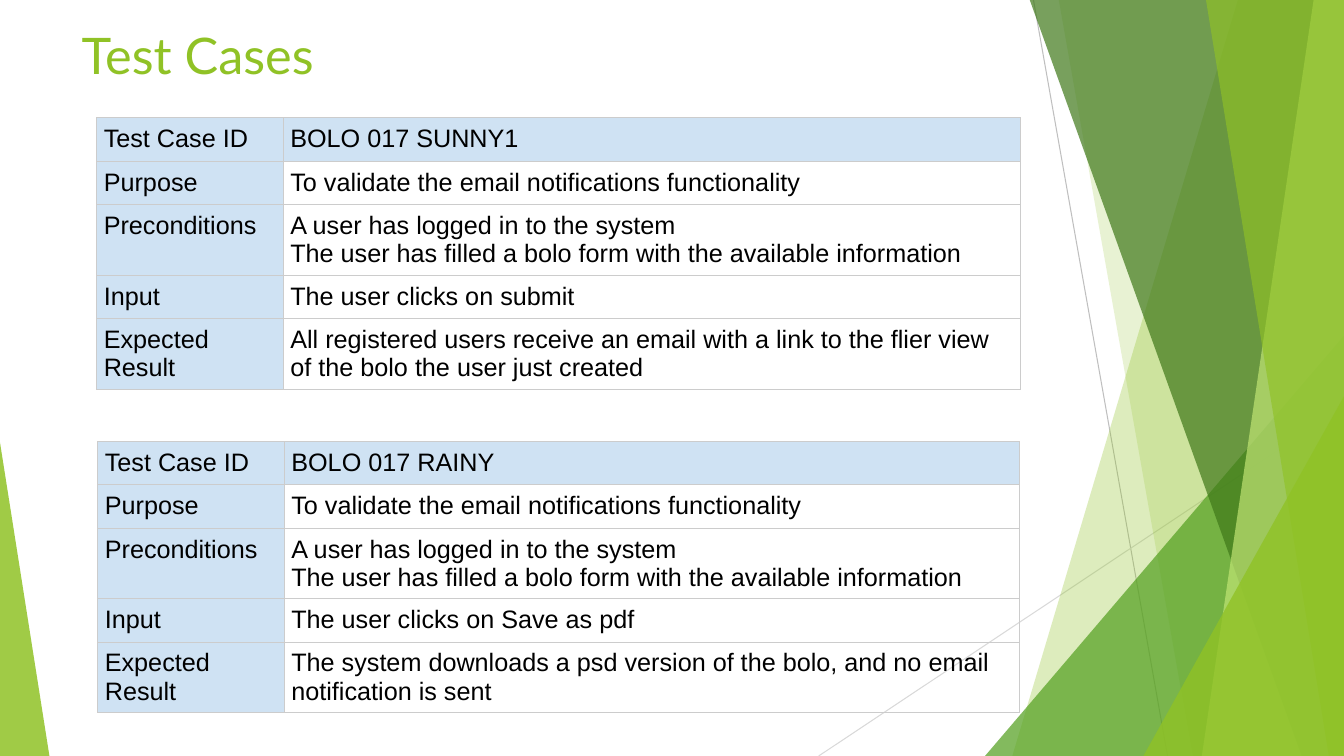
from lxml import etree
from pptx import Presentation
from pptx.dml.color import RGBColor
from pptx.enum.shapes import MSO_CONNECTOR, MSO_SHAPE
from pptx.enum.text import MSO_ANCHOR, PP_ALIGN
from pptx.oxml import parse_xml
from pptx.oxml.ns import nsdecls, qn
from pptx.util import Inches, Pt

LIME = RGBColor(0x90, 0xC2, 0x26)
GREEN = RGBColor(0x54, 0xA0, 0x21)
FOREST = RGBColor(0x3F, 0x78, 0x19)
PALE_LIME = RGBColor(0xC0, 0xE4, 0x74)
PALE_BLUE = RGBColor(0xCF, 0xE2, 0xF3)
BORDER = RGBColor(0xCC, 0xCC, 0xCC)
GRAY = RGBColor(0xBF, 0xBF, 0xBF)
LIGHT_GRAY = RGBColor(0xD9, 0xD9, 0xD9)
BLACK = RGBColor(0, 0, 0)

WIDTH, HEIGHT, TOP = 13.33, 7.5, -0.01
LABELS = ["Test Case ID", "Purpose", "Preconditions", "Input", "Expected Result"]
PURPOSE = "To validate the email notifications functionality"
PRECONDITIONS = ("A user has logged in to the system\n"
                 "The user has filled a bolo form with the available information")
ROW_HEIGHTS = [0.43, 0.43, 0.7, 0.43, 0.7]


def apply(obj, formats):
    for name, value in formats.items():
        setattr(obj, name, value)


class SlideBuilder:
    title_font = {"name": "Lato", "size": Pt(36), "bold": False}
    cell_font = {"name": "Arial", "size": Pt(18), "bold": False}
    cell_format = {"vertical_anchor": MSO_ANCHOR.TOP,
                   **{f"margin_{side}": Inches(0.07)
                      for side in ("left", "right", "top", "bottom")}}

    def __init__(self, prs):
        self.s = prs.slides.add_slide(prs.slide_layouts[5])
        self.shapes = self.s.shapes

    def title(self, text, left, top, width, height):
        sp = self.shapes.title
        apply(sp, {"left": Inches(left), "top": Inches(top),
                   "width": Inches(width), "height": Inches(height)})
        tf = sp.text_frame
        apply(tf, {"text": text, "word_wrap": True, "vertical_anchor": MSO_ANCHOR.TOP})
        p = tf.paragraphs[0]
        p.alignment = PP_ALIGN.LEFT
        r = p.runs[0]
        apply(r.font, self.title_font)
        r.font.color.rgb = LIME

    def line(self, x1, y1, x2, y2, color):
        cxn = self.shapes.add_connector(
            MSO_CONNECTOR.STRAIGHT, Inches(x1), Inches(y1), Inches(x2), Inches(y2))
        cxn.line.color.rgb = color
        cxn.line.width = Pt(0.75)
        etree.SubElement(cxn._element.spPr, qn("a:effectLst"))

    def paint(self, sp, color, opacity):
        sp.shadow.inherit = False
        sp.line.fill.background()
        sp.fill.solid()
        sp.fill.fore_color.rgb = color
        clr = sp._element.spPr.find(qn("a:solidFill"))[0]
        etree.SubElement(clr, qn("a:alpha")).set("val", str(opacity * 1000))

    def ribbon(self, top_x, bottom_x, color, opacity):
        """Fill from a slanted edge to the right side of the slide."""
        corners = [(WIDTH, TOP), (WIDTH, HEIGHT), (bottom_x, HEIGHT)]
        builder = self.shapes.build_freeform(Inches(top_x), Inches(TOP))
        builder.add_line_segments([(Inches(x), Inches(y)) for x, y in corners])
        self.paint(builder.convert_to_shape(), color, opacity)

    def triangle(self, left, top, width, apex, color, opacity):
        sp = self.shapes.add_shape(
            MSO_SHAPE.ISOSCELES_TRIANGLE, Inches(left), Inches(top),
            Inches(width), Inches(HEIGHT - top))
        sp.adjustments[0] = apex
        self.paint(sp, color, opacity)

    def cell(self, cell, text, shaded):
        apply(cell, {"text": text, **self.cell_format})
        for p in cell.text_frame.paragraphs:
            for r in p.runs:
                apply(r.font, self.cell_font)
                r.font.color.rgb = BLACK
        if shaded:
            cell.fill.solid()
            cell.fill.fore_color.rgb = PALE_BLUE
        else:
            cell.fill.background()
        tc_pr = cell._tc.get_or_add_tcPr()
        for i, side in enumerate("LRTB"):
            tc_pr.insert(i, parse_xml(
                f'<a:ln{side} {nsdecls("a")} w="{Pt(0.75)}"><a:solidFill>'
                f'<a:srgbClr val="{BORDER}"/></a:solidFill></a:ln{side}>'))

    def test_case(self, left, top, widths, values):
        table = self.shapes.add_table(
            len(LABELS), 2, Inches(left), Inches(top),
            Inches(sum(widths)), Inches(sum(ROW_HEIGHTS))).table
        apply(table, {"first_row": False, "horz_banding": False})
        for column, width in zip(table.columns, widths):
            column.width = Inches(width)
        for i, (label, value) in enumerate(zip(LABELS, values)):
            table.rows[i].height = Inches(ROW_HEIGHTS[i])
            self.cell(table.cell(i, 0), label, True)
            self.cell(table.cell(i, 1), value, i == 0)


def main():
    prs = Presentation()
    apply(prs, {"slide_width": Inches(WIDTH), "slide_height": Inches(HEIGHT)})
    b = SlideBuilder(prs)

    b.line(10.25, 0, 11.58, HEIGHT, GRAY)
    b.line(WIDTH, 4.03, 8.12, HEIGHT, LIGHT_GRAY)
    b.ribbon(12.28, 10.04, LIME, 30)
    b.ribbon(10.5, 11.83, LIME, 20)
    b.triangle(9.77, 3.33, 3.56, 1, GREEN, 72)
    b.ribbon(10.21, 12.91, FOREST, 70)
    b.ribbon(13.03, 11.92, PALE_LIME, 70)
    b.ribbon(11.96, 13.18, LIME, 65)
    b.triangle(11.34, 3.93, 1.99, 1, LIME, 80)
    b.triangle(0, 4.39, 0.49, 0, LIME, 85)

    b.title("Test Cases", 0.71, 0.19, 9.4, 1.44)
    b.test_case(0.96, 1.17, (1.85, 7.31), [
        "BOLO 017 SUNNY1", PURPOSE, PRECONDITIONS, "The user clicks on submit",
        "All registered users receive an email with a link to the flier view "
        "of the bolo the user just created"])
    b.test_case(0.97, 4.38, (1.85, 7.29), [
        "BOLO 017 RAINY", PURPOSE, PRECONDITIONS, "The user clicks on Save as pdf",
        "The system downloads a psd version of the bolo, and no email "
        "notification is sent"])
    prs.save("out.pptx")


if __name__ == "__main__":
    main()
